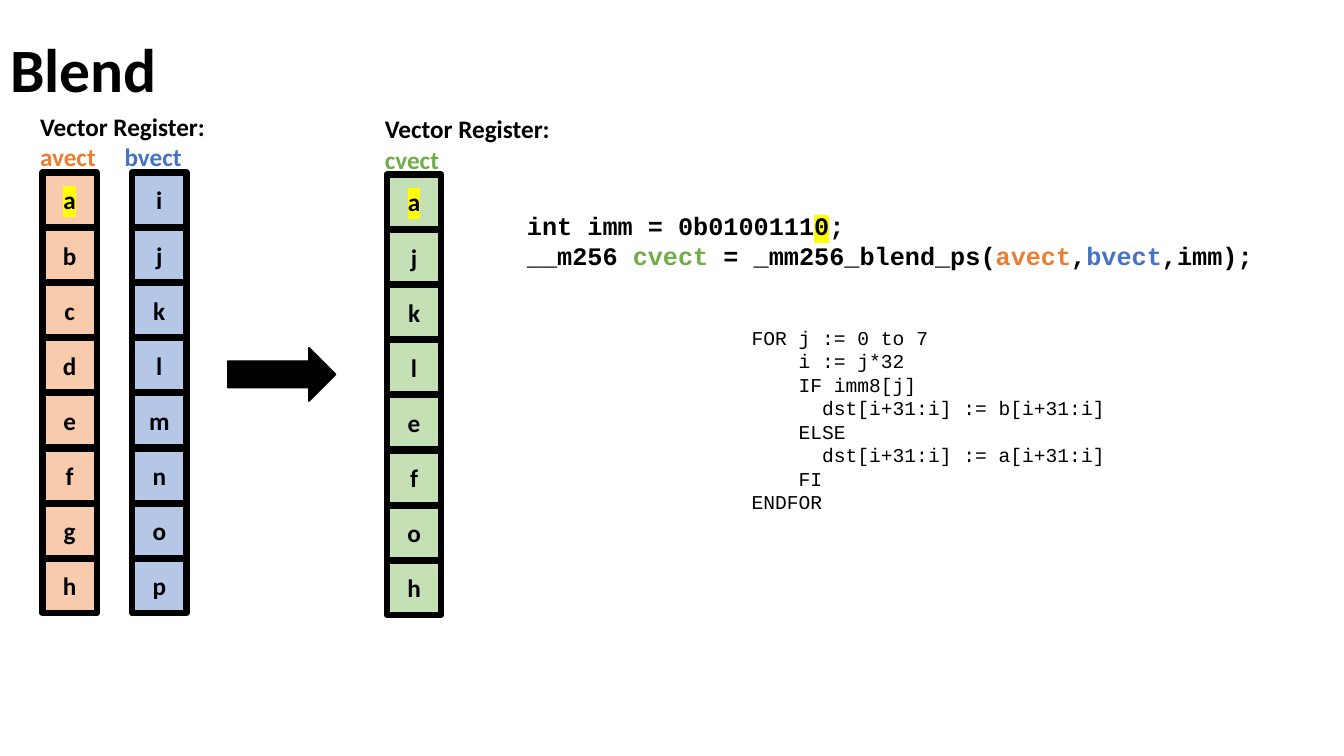
from dataclasses import dataclass

from lxml.etree import SubElement
from pptx import Presentation
from pptx.dml.color import RGBColor
from pptx.enum.shapes import MSO_SHAPE as Shape
from pptx.enum.text import MSO_ANCHOR as Anchor, MSO_AUTO_SIZE as AutoSize, PP_ALIGN as Align
from pptx.oxml.ns import qn
from pptx.util import Cm, Pt


@dataclass(frozen=True)
class Theme:
    ink: str = "000000"
    orange: str = "ED7D31"
    blue: str = "4472C4"
    green: str = "70AD47"
    pale_orange: str = "F8CBAD"
    pale_blue: str = "B4C7E7"
    pale_green: str = "C5E0B4"
    marker: str = "FFFF00"
    sans: str = "Calibri"
    mono: str = "Courier New"
    title_size: int = 44
    body_size: int = 18
    small_size: int = 14


THEME = Theme()

TITLE = "Blend"
MARKED_LETTER = "a"
VECTORS = [
    ("abcdefgh", THEME.pale_orange, 1.07, 4.35),
    ("ijklmnop", THEME.pale_blue, 3.33, 4.35),
    ("ajklefoh", THEME.pale_green, 9.75, 4.40),
]
HEADING = [("Vector Register:", THEME.ink)]
LABELS = [
    ((0.76, 2.67, 5.16, 1.8), [HEADING, [("avect\t", THEME.orange), ("bvect", THEME.blue)]]),
    ((9.45, 2.74, 5.16, 1.8), [HEADING, [("cvect", THEME.green)]]),
]
CODE = [
    [("int imm = 0b0100111", THEME.ink), ("0", THEME.ink, THEME.marker), (";", THEME.ink)],
    [
        ("__m256 ", THEME.ink),
        ("cvect ", THEME.green),
        ("= _mm256_blend_ps(", THEME.ink),
        ("avect", THEME.orange),
        (",", THEME.ink),
        ("bvect", THEME.blue),
        (",imm);", THEME.ink),
    ],
]
PSEUDOCODE = [
    (0, "FOR j := 0 to 7"),
    (4, "i := j*32"),
    (4, "IF imm8[j]"),
    (6, "dst[i+31:i] := b[i+31:i]"),
    (4, "ELSE"),
    (6, "dst[i+31:i] := a[i+31:i]"),
    (4, "FI"),
    (0, "ENDFOR"),
]

CELL_SIZE = 1.37
CELL_PITCH = 1.39
LABEL_TAB = 2.13
MONO_ADVANCE = 0.6
CODE_BOX = (13.03, 5.18, 21.59, 4.11)
PSEUDOCODE_BOX = (18.69, 8.08, 14.27, 5.05)
ARROW_BOX = (5.74, 8.76, 2.72, 1.35)


def style(para, face, size, bold=True):
    para.font.name = face
    para.font.size = Pt(size)
    para.font.bold = bold
    para.font.color.rgb = RGBColor.from_string(THEME.ink)


def add_span(para, text, color=THEME.ink, highlight=None):
    span = para.add_run()
    span.text = text
    if color != THEME.ink:
        span.font.color.rgb = RGBColor.from_string(color)
    if highlight:
        mark = SubElement(span._r.get_or_add_rPr(), qn("a:highlight"))
        SubElement(mark, qn("a:srgbClr")).set("val", highlight)


def add_tab(para, position):
    stops = SubElement(para._p.get_or_add_pPr(), qn("a:tabLst"))
    stop = SubElement(stops, qn("a:tab"))
    stop.set("pos", str(Cm(position)))
    stop.set("algn", "l")


def add_lines(page, bounds, lines, face, size, bold=True, indents=None, tab=None):
    frame = page.shapes.add_textbox(*map(Cm, bounds)).text_frame
    frame.word_wrap = True
    for index, spans in enumerate(lines):
        para = frame.add_paragraph() if index else frame.paragraphs[0]
        if indents and indents[index]:
            margin = Pt(indents[index] * size * MONO_ADVANCE)
            para._p.get_or_add_pPr().set("marL", str(margin))
        if tab:
            add_tab(para, tab)
        style(para, face, size, bold)
        for span in spans:
            add_span(para, *span)


def add_block(page, kind, bounds, fill, line_width):
    block = page.shapes.add_shape(kind, *map(Cm, bounds))
    block.shadow.inherit = False
    block.fill.solid()
    block.fill.fore_color.rgb = RGBColor.from_string(fill)
    block.line.color.rgb = RGBColor.from_string(THEME.ink)
    block.line.width = Pt(line_width)
    return block


def add_vector(page, letters, fill, left, top):
    for row, letter in enumerate(letters):
        bounds = (left, top + row * CELL_PITCH, CELL_SIZE, CELL_SIZE)
        frame = add_block(page, Shape.RECTANGLE, bounds, fill, 4.5).text_frame
        frame.vertical_anchor = Anchor.MIDDLE
        para = frame.paragraphs[0]
        para.alignment = Align.CENTER
        style(para, THEME.sans, THEME.body_size)
        marked = row == 0 and letter == MARKED_LETTER
        add_span(para, letter, highlight=THEME.marker if marked else None)


def add_title(page):
    title = page.shapes.title
    title.left, title.top, title.width, title.height = map(Cm, (0, 0, 29.21, 3.68))
    frame = title.text_frame
    frame.auto_size = AutoSize.NONE
    frame.vertical_anchor = Anchor.MIDDLE
    para = frame.paragraphs[0]
    para.alignment = Align.LEFT
    para.line_spacing = 0.9
    style(para, THEME.sans, THEME.title_size)
    add_span(para, TITLE)


def main():
    deck = Presentation()
    deck.slide_width, deck.slide_height = Cm(33.87), Cm(19.05)
    page = deck.slides.add_slide(deck.slide_layouts.get_by_name("Title Only"))
    add_title(page)
    for bounds, lines in LABELS:
        add_lines(page, bounds, lines, THEME.sans, THEME.body_size, tab=LABEL_TAB)
    for vector in VECTORS:
        add_vector(page, *vector)
    add_block(page, Shape.RIGHT_ARROW, ARROW_BOX, THEME.ink, 1)
    add_lines(page, CODE_BOX, CODE, THEME.mono, THEME.body_size)
    indents, texts = zip(*PSEUDOCODE)
    lines = [[(text,)] for text in texts]
    add_lines(page, PSEUDOCODE_BOX, lines, THEME.mono, THEME.small_size, False, indents)
    deck.save("out.pptx")


if __name__ == "__main__":
    main()
